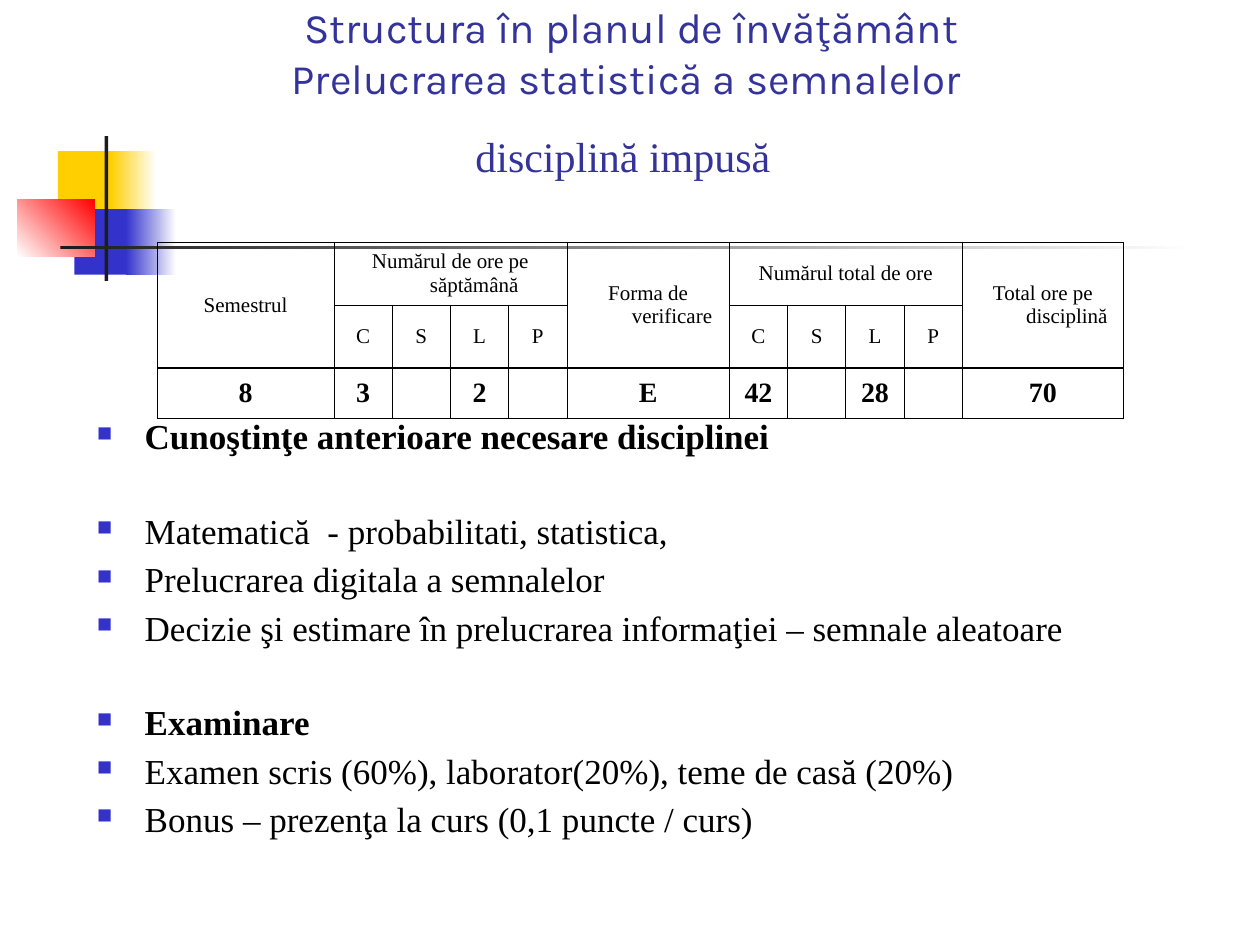
import pptx
import pptx.util
import pptx.oxml
from pptx.dml.color import RGBColor
from pptx.enum.shapes import MSO_SHAPE
from pptx.enum.text import MSO_ANCHOR, MSO_AUTO_SIZE, PP_ALIGN
from pptx.oxml.ns import nsdecls

Inches = pptx.util.Inches
Pt = pptx.util.Pt

HUES = {
    "gold": "FFCF01", "blue": "3333CC", "red": "FF0000", "dark": "1C1C1C",
    "white": "FFFFFF", "title": "333399", "black": "000000",
}
SERIF = "Times New Roman"

BLOCKS = [
    (0.46, 1.2, 0.48, 0.52, "gold", None, 0),
    (0.88, 1.2, 0.36, 0.52, "gold", "white", 0),
    (0.59, 1.66, 0.46, 0.52, "blue", None, 0),
    (1, 1.66, 0.4, 0.52, "blue", "white", 0),
    (0.14, 1.58, 0.61, 0.46, "white", "red", 45),
    (0.83, 1.08, 0.03, 1.15, "dark", None, 0),
    (0.48, 1.95, 9, 0.03, "dark", "white", 0),
]

POINTS = [
    ("Cunoştinţe anterioare necesare disciplinei", True, False),
    ("Matematică  - probabilitati, statistica,", False, True),
    ("Prelucrarea digitala a semnalelor", False, False),
    ("Decizie şi estimare în prelucrarea informaţiei – semnale aleatoare", False, False),
    ("Examinare", True, True),
    ("Examen scris (60%), laborator(20%), teme de casă (20%)", False, False),
    ("Bonus – prezenţa la curs (0,1 puncte / curs)", False, False),
]

HOURS = ["C", "S", "L", "P"]
ROWS = [
    ["Semestrul", "Numărul de ore pe săptămână", "", "", "", "Forma de verificare",
     "Numărul total de ore", "", "", "", "Total ore pe disciplină"],
    ["", *HOURS, "", *HOURS, ""],
    ["8", "3", "", "2", "", "E", "42", "", "28", "", "70"],
]
WIDTHS = [1.4, *[0.4625] * 4, 1.29, *[0.4625] * 4, 1.28]
HEIGHTS = [0.47, 0.47, 0.35]


def color(name):
    return RGBColor.from_string(HUES[name])


def make(tag, attrs="", inner=""):
    return pptx.oxml.parse_xml(f"<a:{tag} {nsdecls('a')} {attrs}>{inner}</a:{tag}>")


def write(para, words, size=20, font=SERIF, hue="black", bold=False):
    run = para.add_run()
    run.text = words
    run.font.size = Pt(size)
    run.font.name = font
    run.font.bold = bold
    run.font.color.rgb = color(hue)


def hang(para):
    props = para._p.get_or_add_pPr()
    props.set("marL", str(Inches(0.38)))
    props.set("indent", str(-Inches(0.38)))
    return props


def block(slide, left, top, width, height, start, end, angle):
    shape = slide.shapes.add_shape(
        MSO_SHAPE.RECTANGLE, Inches(left), Inches(top), Inches(width), Inches(height))
    shape.shadow.inherit = False
    shape.line.fill.background()
    if end is None:
        shape.fill.solid()
        shape.fill.fore_color.rgb = color(start)
        return
    shape.fill.gradient()
    shape.fill.gradient_angle = angle
    for stop, name in zip(shape.fill.gradient_stops, (start, end)):
        stop.color.rgb = color(name)


def heading(slide):
    title = slide.shapes.title
    title.left, title.top = Inches(0.51), Inches(0.28)
    title.width, title.height = Inches(9), Inches(1.25)
    frame = title.text_frame
    frame.auto_size = MSO_AUTO_SIZE.NONE
    frame.vertical_anchor = MSO_ANCHOR.BOTTOM
    para = frame.paragraphs[0]
    para.alignment = PP_ALIGN.CENTER
    for line in ("Structura în planul de învăţământ", "Prelucrarea statistică a semnalelor "):
        write(para, line, size=24, font="Karla", hue="title")
        para.add_line_break()
    write(para, "disciplină impusă", size=24, hue="title")
    write(para, " ", size=40, font="Karla", hue="title")
    slide.shapes._spTree.append(title._element)


def bullets(slide):
    box = slide.shapes.add_textbox(Inches(0.67), Inches(3.28), Inches(8.51), Inches(3.54))
    frame = box.text_frame
    frame.word_wrap = True
    for index, (words, bold, apart) in enumerate(POINTS):
        para = frame.add_paragraph() if index else frame.paragraphs[0]
        para.line_spacing = 0.9
        para.space_before = Pt(32.5 if apart else 6)
        props = hang(para)
        props.append(make("buClr", inner=f'<a:srgbClr val="{HUES["blue"]}"/>'))
        props.append(make("buSzPct", 'val="60000"'))
        props.append(make("buChar", 'char="■"'))
        write(para, words, bold=bold)


def border(cell, row):
    props = cell._tc.get_or_add_tcPr()
    for side in "LRTB":
        thick = (row, side) in ((1, "B"), (2, "T"))
        width = Pt(0.96 if thick else 0.45)
        props.append(make(f"ln{side}", f'w="{width}"',
                          f'<a:solidFill><a:srgbClr val="{HUES["black"]}"/></a:solidFill>'))


def grid(slide):
    table = slide.shapes.add_table(
        len(ROWS), len(WIDTHS), Inches(1.25), Inches(1.92),
        Inches(sum(WIDTHS)), Inches(sum(HEIGHTS))).table
    table.first_row = table.horz_banding = False
    for col, width in zip(table.columns, WIDTHS):
        col.width = Inches(width)
    for row, height in zip(table.rows, HEIGHTS):
        row.height = Inches(height)
    for col in (0, 5, 10):
        table.cell(0, col).merge(table.cell(1, col))
    for col in (1, 6):
        table.cell(0, col).merge(table.cell(0, col + 3))
    for row, line in enumerate(ROWS):
        for col, words in enumerate(line):
            cell = table.cell(row, col)
            border(cell, row)
            cell.fill.background()
            cell.vertical_anchor = MSO_ANCHOR.MIDDLE
            if not words:
                continue
            para = cell.text_frame.paragraphs[0]
            para.alignment = PP_ALIGN.CENTER
            if (row, col) == (2, 0):
                para.space_before = Pt(4)
            else:
                hang(para)
            write(para, words, size=16 if row == 2 else 12, bold=row == 2)


def main():
    deck = pptx.Presentation()
    deck.slide_width, deck.slide_height = Inches(10), Inches(7.5)
    slide = deck.slides.add_slide(deck.slide_layouts[5])
    for item in BLOCKS:
        block(slide, *item)
    heading(slide)
    bullets(slide)
    grid(slide)
    deck.save("out.pptx")


if __name__ == "__main__":
    main()
